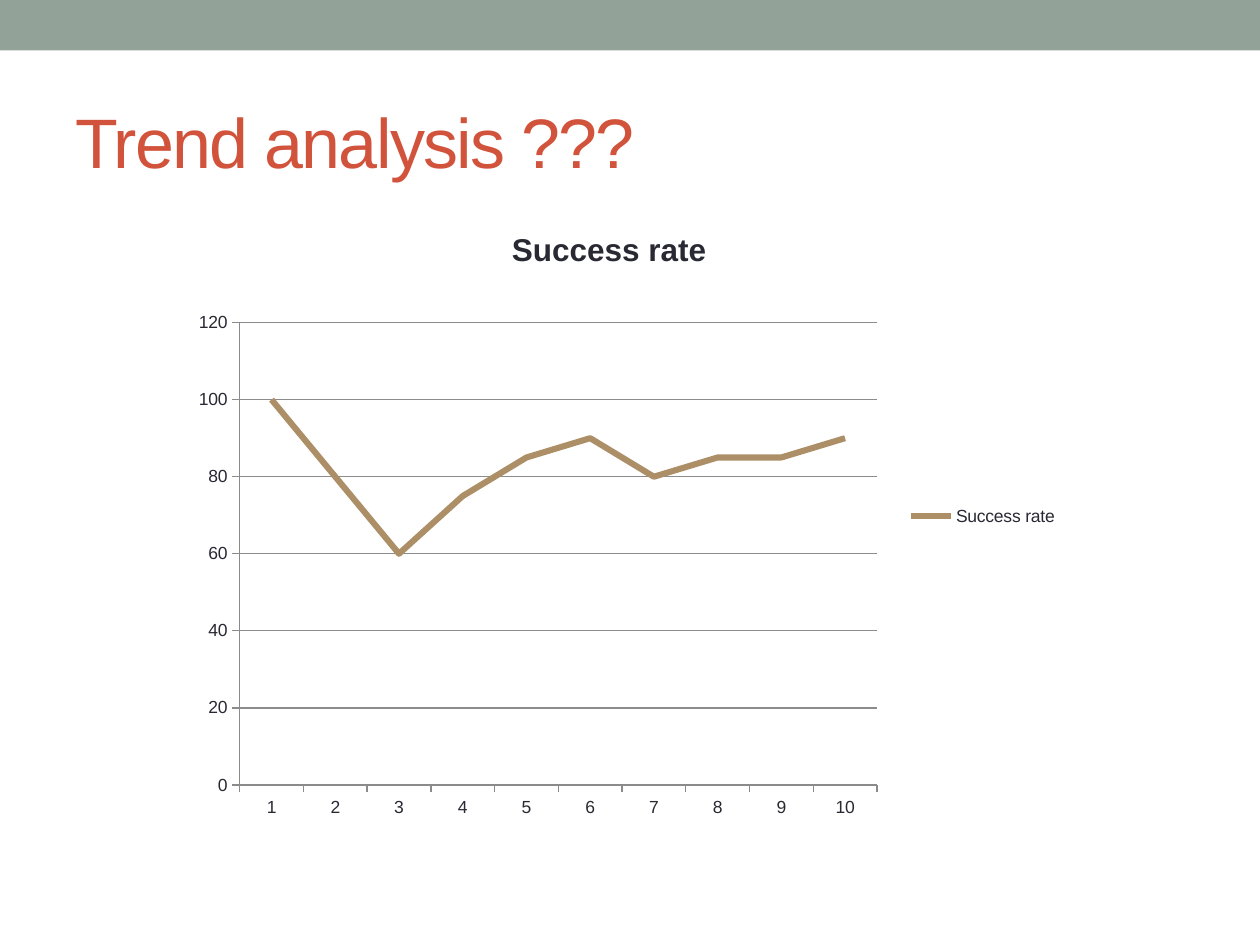
"""Build the trend analysis slide with a line chart of the success rate."""
from dataclasses import dataclass

from lxml import etree
from pptx import Presentation
from pptx import util as u
from pptx.chart import data
from pptx.dml.color import RGBColor
from pptx.enum import chart as ch, shapes, text


@dataclass(frozen=True)
class Theme:
    font: str = "Arial"
    band: str = "93A299"
    heading: str = "D2533C"
    ink: str = "292934"
    grid: str = "8B8B8B"
    rate: str = "AD8F67"
    heading_size: float = 40
    chart_title_size: float = 18
    label_size: float = 10
    rate_width: float = 3.5
    grid_width: float = 0.75


def style_font(font, size, color, bold=False):
    font.name = theme.font
    font.size = u.Pt(size)
    font.bold = bold
    font.color.rgb = RGBColor.from_string(color)


def style_line(line, width, color):
    line.width = u.Pt(width)
    line.color.rgb = RGBColor.from_string(color)


theme = Theme()
success_rates = (100, 80, 60, 75, 85, 90, 80, 85, 85, 90)
plot_area = {"x": 0.1, "y": 0.19, "w": 0.69, "h": 0.74}

prs = Presentation()
prs.slide_width, prs.slide_height = u.Cm(25.4), u.Cm(19.05)
slide = prs.slides.add_slide(prs.slide_layouts[5])

band = slide.shapes.add_shape(
    shapes.MSO_SHAPE.RECTANGLE, 0, 0, prs.slide_width, u.Cm(1.02))
band.shadow.inherit = False
band.fill.solid()
band.fill.fore_color.rgb = RGBColor.from_string(theme.band)
band.line.fill.background()

heading = slide.shapes.title
heading.left, heading.top = u.Cm(1.27), u.Cm(1.47)
heading.width, heading.height = u.Cm(22.86), u.Cm(2.74)
heading.text_frame.text = "Trend analysis ???"
heading.text_frame.vertical_anchor = text.MSO_ANCHOR.MIDDLE
heading_line = heading.text_frame.paragraphs[0]
heading_line.alignment = text.PP_ALIGN.LEFT
style_font(heading_line.runs[0].font, theme.heading_size, theme.heading)
heading_line.runs[0].font._element.set("spc", "-100")

rate_data = data.CategoryChartData()
rate_data.categories = [str(n) for n in range(1, len(success_rates) + 1)]
rate_data.add_series("Success rate", success_rates)
trend = slide.shapes.add_chart(
    ch.XL_CHART_TYPE.LINE, u.Cm(2.97), u.Cm(4.11), u.Cm(18.62), u.Cm(12.6),
    rate_data).chart
style_font(trend.font, theme.label_size, theme.ink)

trend.has_title = True
trend.chart_title.text_frame.text = "Success rate"
trend.chart_title.include_in_layout = False
trend_title = trend.chart_title.text_frame.paragraphs[0].runs[0]
style_font(trend_title.font, theme.chart_title_size, theme.ink, bold=True)

trend.has_legend = True
trend.legend.position = ch.XL_LEGEND_POSITION.RIGHT
trend.legend.include_in_layout = False

for axis in (trend.category_axis, trend.value_axis):
    axis.major_tick_mark = ch.XL_TICK_MARK.OUTSIDE
    axis.minor_tick_mark = ch.XL_TICK_MARK.NONE
    style_line(axis.format.line, theme.grid_width, theme.grid)
scale = trend.value_axis
scale.minimum_scale, scale.maximum_scale, scale.major_unit = 0, 120, 20
scale.has_major_gridlines = True
style_line(scale.major_gridlines.format.line, theme.grid_width, theme.grid)

trend.plots[0].vary_by_categories = False
rate = trend.plots[0].series[0]
rate.smooth = False
rate.marker.style = ch.XL_MARKER_STYLE.NONE
style_line(rate.format.line, theme.rate_width, theme.rate)

ns = "http://schemas.openxmlformats.org/drawingml/2006/chart"
plot = trend._chartSpace.find(f".//{{{ns}}}plotArea")
for old_layout in plot.findall(f"{{{ns}}}layout"):
    plot.remove(old_layout)
layout = etree.Element(f"{{{ns}}}layout")
plot.insert(0, layout)
manual = etree.SubElement(layout, f"{{{ns}}}manualLayout")
settings = {"layoutTarget": "inner", "xMode": "edge", "yMode": "edge", **plot_area}
for tag, value in settings.items():
    etree.SubElement(manual, f"{{{ns}}}{tag}").set("val", str(value))

prs.save("out.pptx")
